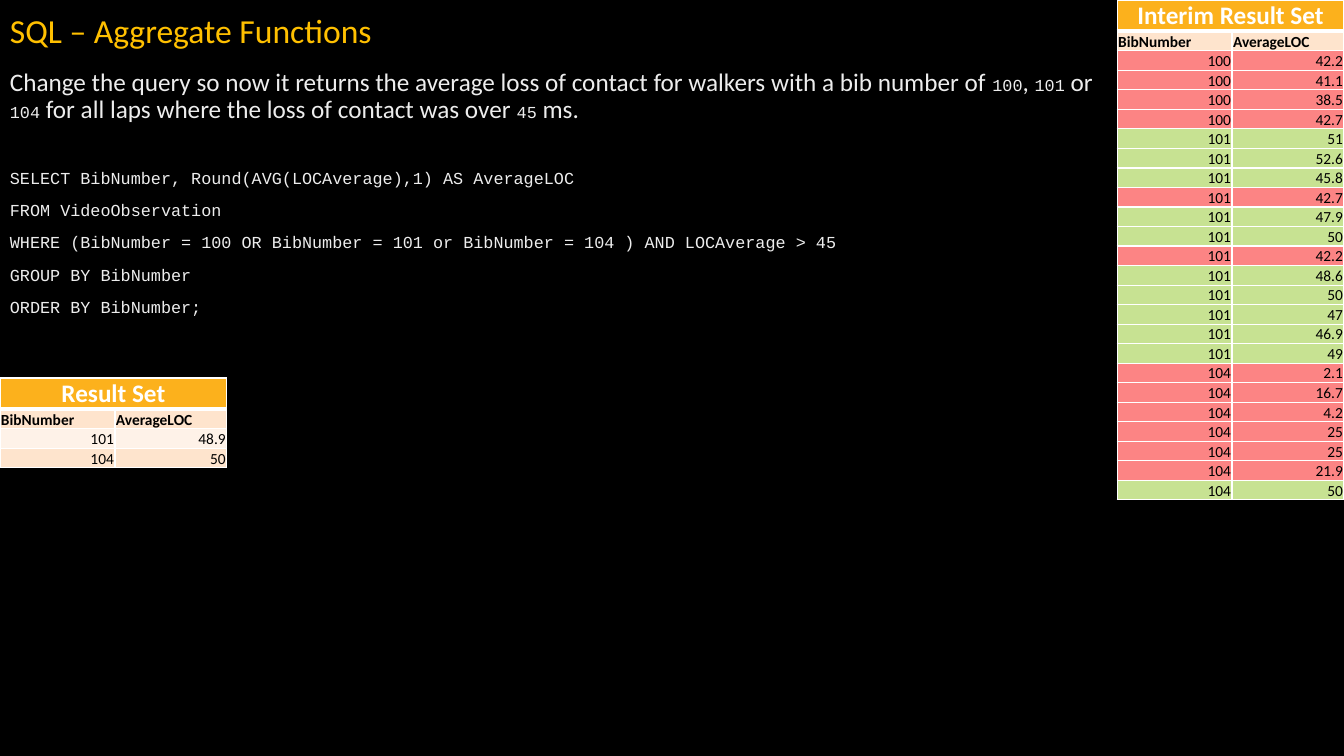
"""Build the SQL aggregate functions slide."""
from pptx import Presentation
from pptx import util as u
from pptx.dml.color import RGBColor
from pptx.enum import text
from pptx.oxml.ns import qn
from lxml import etree

COLORS = {
    "back": "000000", "title": "FFC000", "body": "EDEDED", "white": "FFFFFF",
    "ink": "000000", "banner": "FCB11C", "band": "FEE4CD", "pale": "FEF2E8",
    "kept": "C7E292", "dropped": "FC8484",
}
PROSE, CODE = "Calibri", "Courier New"
TITLE = "SQL – Aggregate Functions"
TASK = [
    ("Change the query so now it returns the average loss of contact "
     "for walkers with a bib number of ", PROSE),
    ("100", CODE), (", ", PROSE), ("101", CODE), (" or ", PROSE), ("104", CODE),
    (" for all laps where the loss of contact was over ", PROSE),
    ("45", CODE), (" ms.", PROSE),
]
QUERY = [
    "SELECT BibNumber, Round(AVG(LOCAverage),1) AS AverageLOC",
    "FROM VideoObservation",
    "WHERE (BibNumber = 100 OR BibNumber = 101 or BibNumber = 104 ) AND LOCAverage > 45",
    "GROUP BY BibNumber",
    "ORDER BY BibNumber;",
]
HEADINGS = ("BibNumber", "AverageLOC")
RESULTS = [(101, 48.9), (104, 50)]
LAPS = {
    100: [42.2, 41.1, 38.5, 42.7],
    101: [51, 52.6, 45.8, 42.7, 47.9, 50, 42.2, 48.6, 50, 47, 46.9, 49],
    104: [2.1, 16.7, 4.2, 25, 25, 21.9, 50],
}
LIMIT = 45
COLUMNS = (1.14, 1.11)
BANNER_HEIGHT, ROW_HEIGHT = 0.31, 0.19


def color(name):
    return RGBColor.from_string(COLORS[name])


def set_font(font, size, shade, name=PROSE, bold=False):
    font.name, font.size, font.bold = name, u.Pt(size), bold
    font.color.rgb = color(shade)


def add_box(page, left, top, width, height):
    box = page.shapes.add_textbox(*map(u.Inches, (left, top, width, height)))
    box.text_frame.word_wrap = True
    return box.text_frame


def set_borders(cell, bottom):
    properties = cell._tc.get_or_add_tcPr()
    for index, side in enumerate(("lnL", "lnR", "lnT", "lnB")):
        points = bottom if side == "lnB" else 1
        line = etree.Element(qn("a:" + side), w=str(u.Pt(points)))
        fill = etree.SubElement(line, qn("a:solidFill"))
        etree.SubElement(fill, qn("a:srgbClr"), val=COLORS["white"])
        properties.insert(index, line)


def fill_cell(cell, words, fill, align, size=11, shade="ink", bold=False, bottom=1):
    cell.text = str(words)
    cell.margin_left = cell.margin_right = cell.margin_top = u.Inches(0.01)
    cell.margin_bottom = 0
    cell.vertical_anchor = text.MSO_ANCHOR.BOTTOM
    cell.fill.solid()
    cell.fill.fore_color.rgb = color(fill)
    para = cell.text_frame.paragraphs[0]
    para.alignment = align
    set_font(para.font, size, shade, bold=bold)
    set_borders(cell, bottom)


def add_result_table(page, left, top, banner, rows, fills):
    count = len(rows) + 2
    height = BANNER_HEIGHT + ROW_HEIGHT * (count - 1)
    table = page.shapes.add_table(
        count, len(COLUMNS), *map(u.Inches, (left, top, sum(COLUMNS), height))).table
    table.first_row = table.horz_banding = False
    for column, width in zip(table.columns, COLUMNS):
        column.width = u.Inches(width)
    for index, row in enumerate(table.rows):
        row.height = u.Inches(ROW_HEIGHT if index else BANNER_HEIGHT)
    for place in range(len(COLUMNS)):
        fill_cell(table.cell(0, place), "" if place else banner, "banner",
                  text.PP_ALIGN.CENTER, 18, "white", True, 3)
        fill_cell(table.cell(1, place), HEADINGS[place], "band",
                  text.PP_ALIGN.LEFT, bold=True)
        for index, (row, fill) in enumerate(zip(rows, fills), 2):
            fill_cell(table.cell(index, place), row[place], fill, text.PP_ALIGN.RIGHT)
    table.cell(0, 0).merge(table.cell(0, len(COLUMNS) - 1))


def main():
    deck = Presentation()
    deck.slide_width, deck.slide_height = u.Inches(13.33), u.Inches(7.5)
    page = deck.slides.add_slide(deck.slide_layouts[6])
    page.background.fill.solid()
    page.background.fill.fore_color.rgb = color("back")

    title = add_box(page, 0, 0, 13.33, 0.64)
    title.vertical_anchor = text.MSO_ANCHOR.MIDDLE
    title.text = TITLE
    title.paragraphs[0].line_spacing = 0.9
    set_font(title.paragraphs[0].font, 24, "title")

    body = add_box(page, 0, 0.64, 11.03, 2.87)
    for words, name in TASK:
        span = body.paragraphs[0].add_run()
        span.text = words
        set_font(span.font, 18 if name == PROSE else 12, "body", name)
    for line in QUERY:
        para = body.add_paragraph()
        para.text = line
        set_font(para.font, 12, "body", CODE)
    for para in body.paragraphs:
        para.line_spacing, para.space_before = 0.9, u.Pt(10)
    body.paragraphs[1].space_before = u.Pt(33)

    add_result_table(page, 0, 3.75, "Result Set", RESULTS, ("pale", "band"))
    laps = [(bib, loss) for bib, losses in LAPS.items() for loss in losses]
    fills = ["kept" if loss > LIMIT else "dropped" for _, loss in laps]
    add_result_table(page, 11.08, 0, "Interim Result Set", laps, fills)
    deck.save("out.pptx")


if __name__ == "__main__":
    main()
